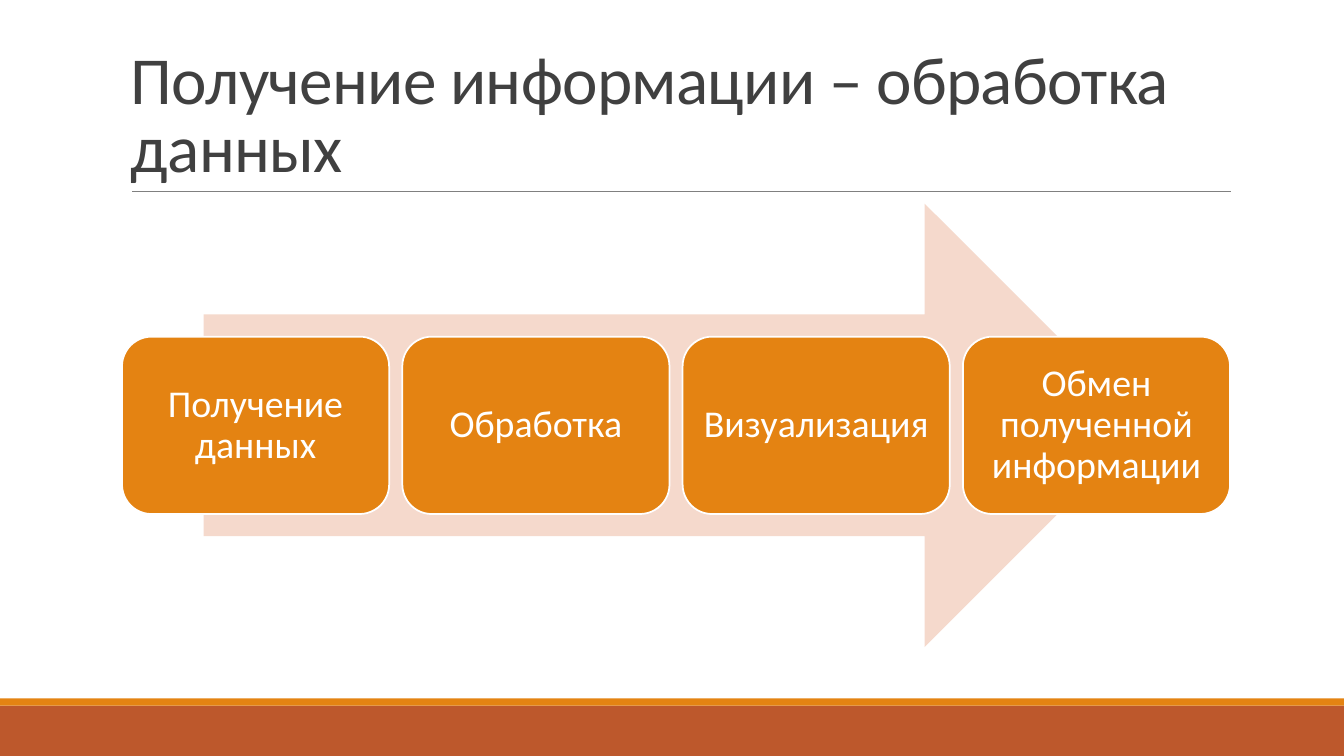
from pptx import Presentation
from pptx.dml.color import RGBColor
from pptx.enum.shapes import MSO_CONNECTOR, MSO_SHAPE
from pptx.enum.text import MSO_ANCHOR, PP_ALIGN
from pptx.oxml.ns import qn
from pptx.util import Inches, Pt
from lxml.etree import SubElement

ORANGE, RUST, PEACH = "E48312", "BD582C", "F5D9CC"
WHITE, GREY, DARK = "FFFFFF", "808080", "404040"

STEPS = ["Получение данных", "Обработка", "Визуализация", "Обмен полученной информации"]
STEP_LEFT, STEP_TOP, STEP_WIDTH, STEP_HEIGHT = 1.21, 3.34, 2.65, 1.76
STEP_PITCH = 2.78


def color(hex_code):
    return RGBColor.from_string(hex_code)


def write_text(box, text, size, hex_code, align=PP_ALIGN.LEFT, anchor=MSO_ANCHOR.MIDDLE,
               line_spacing=1.0, tracking=None, margin=None):
    """Fill a shape with one paragraph; tracking is in hundredths of a point."""
    frame = box.text_frame
    frame.word_wrap = True
    frame.vertical_anchor = anchor
    if margin is not None:
        frame.margin_left = frame.margin_right = Inches(margin)
        frame.margin_top = frame.margin_bottom = Inches(margin)
    para = frame.paragraphs[0]
    para.alignment = align
    para.line_spacing = line_spacing
    span = para.add_run()
    span.text = text
    span.font.name = "Calibri"
    span.font.size = Pt(size)
    span.font.color.rgb = color(hex_code)
    if tracking is not None:
        span.font._element.set("spc", str(tracking))


def add_block(page, kind, left, top, width, height, fill, outline=None):
    block = page.shapes.add_shape(kind, Inches(left), Inches(top), Inches(width), Inches(height))
    block.shadow.inherit = False
    block.fill.solid()
    block.fill.fore_color.rgb = color(fill)
    if outline:
        block.line.color.rgb = color(outline)
        block.line.width = Pt(1.25)
    else:
        block.line.fill.background()
    return block


def add_rule(page, left, right, top):
    rule = page.shapes.add_connector(MSO_CONNECTOR.STRAIGHT, Inches(left), Inches(top),
                                     Inches(right), Inches(top))
    rule.line.color.rgb = color(GREY)
    rule.line.width = Pt(0.5)
    SubElement(rule._element.spPr, qn("a:effectLst"))


def add_title(page, text):
    box = page.shapes.add_textbox(Inches(1.2), Inches(0.31), Inches(11), Inches(1.59))
    write_text(box, text, 48, DARK, anchor=MSO_ANCHOR.BOTTOM, line_spacing=0.85, tracking=-50)


def add_steps(page):
    for index, label in enumerate(STEPS):
        step = add_block(page, MSO_SHAPE.ROUNDED_RECTANGLE, STEP_LEFT + index * STEP_PITCH,
                         STEP_TOP, STEP_WIDTH, STEP_HEIGHT, ORANGE, outline=WHITE)
        write_text(step, label, 27, WHITE, align=PP_ALIGN.CENTER, line_spacing=0.9, margin=0.1)


def main():
    deck = Presentation()
    deck.slide_width, deck.slide_height = Inches(13.33), Inches(7.5)
    page = deck.slides.add_slide(deck.slide_layouts[6])
    add_block(page, MSO_SHAPE.RECTANGLE, 0, 7, 13.33, 0.5, RUST)
    add_block(page, MSO_SHAPE.RECTANGLE, 0, 6.93, 13.33, 0.07, ORANGE)
    add_rule(page, 1.31, 12.21, 1.9)
    add_title(page, "Получение информации – обработка данных")
    add_block(page, MSO_SHAPE.RIGHT_ARROW, 2.02, 2.02, 9.35, 4.4, PEACH)
    add_steps(page)
    deck.save("out.pptx")


if __name__ == "__main__":
    main()
